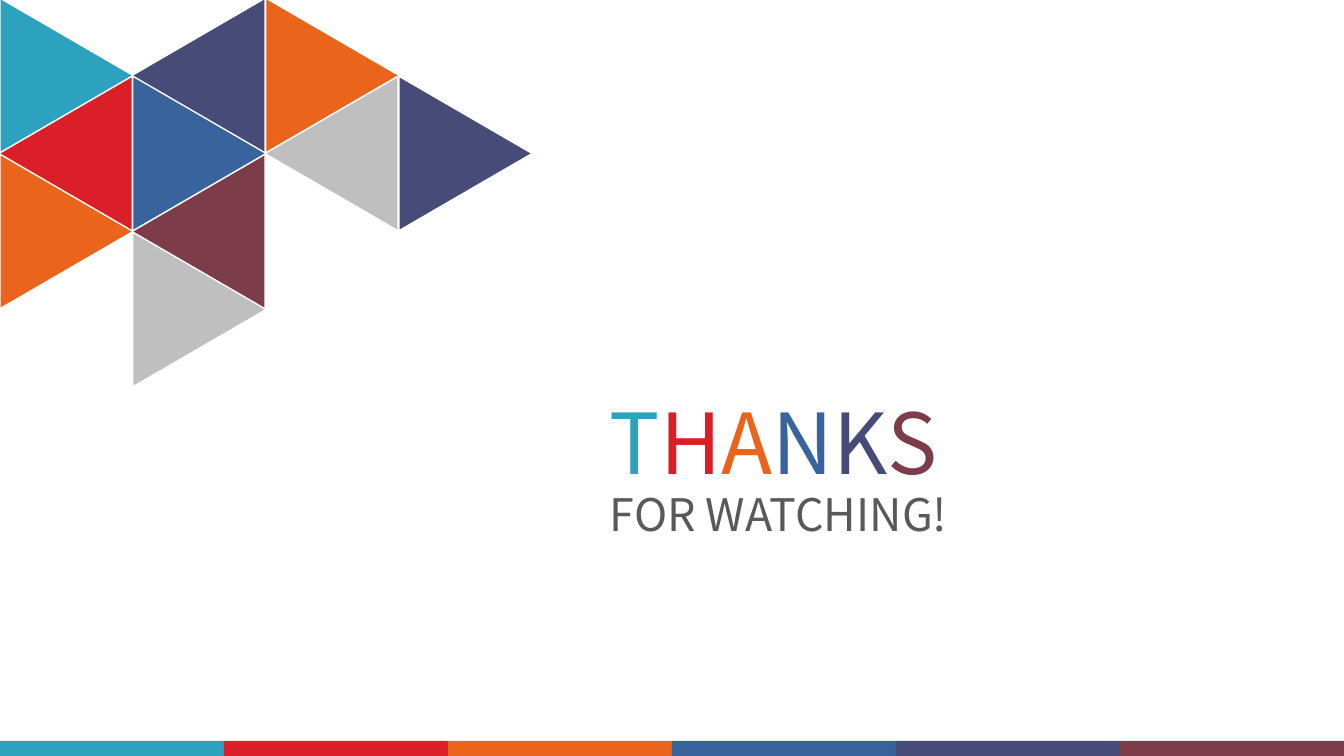
from dataclasses import dataclass

from pptx import Presentation
from pptx.dml.color import RGBColor
from pptx.enum.shapes import MSO_SHAPE
from pptx.enum.text import MSO_AUTO_SIZE
from pptx.util import Emu, Pt

TRIANGLE = MSO_SHAPE.ISOSCELES_TRIANGLE
RECT = MSO_SHAPE.RECTANGLE
NO_FIT = MSO_AUTO_SIZE.NONE
SCALE = 914400 / 100.8
WIDTH, HEIGHT = 1344, 756
RIGHT, LEFT = 90, 270


@dataclass(frozen=True)
class Theme:
    teal: str = "2DA2BF"
    red: str = "DA1F28"
    orange: str = "EB641B"
    blue: str = "39639D"
    navy: str = "474B78"
    wine: str = "7D3C4A"
    silver: str = "BFBFBF"
    gray: str = "595959"
    font: str = "Noto Sans CJK SC"
    title: int = 60
    sub: int = 32
    title_line: int = 77
    sub_line: int = 35

    def accents(self):
        return (self.teal, self.red, self.orange,
                self.blue, self.navy, self.wine)


THEME = Theme()

TILES = (
    (0, 0, RIGHT, THEME.teal),
    (0, 1, LEFT, THEME.red),
    (0, 2, RIGHT, THEME.orange),
    (1, 0, LEFT, THEME.navy),
    (1, 1, RIGHT, THEME.blue),
    (1, 2, LEFT, THEME.wine),
    (2, 0, RIGHT, THEME.orange),
    (1, 3, RIGHT, THEME.silver),
    (2, 1, LEFT, THEME.silver),
    (3, 1, RIGHT, THEME.navy),
)


def px(n):
    return Emu(round(n * SCALE))


def add_block(group, kind, box, color, turn=0):
    shape = group.shapes.add_shape(kind, *map(px, box))
    shape.rotation = turn
    shape.shadow.inherit = False
    shape.fill.solid()
    shape.fill.fore_color.rgb = RGBColor.from_string(color)
    shape.line.fill.background()


def add_tiles(slide):
    group = slide.shapes.add_group_shape()
    for col, row, turn, color in TILES:
        box = (-10 + 133 * col, 10 + 78 * row, 152, 131)
        add_block(group, TRIANGLE, box, color, turn)


def add_stripe(slide):
    group = slide.shapes.add_group_shape()
    colors = THEME.accents()
    step = WIDTH // len(colors)
    for i, color in enumerate(colors):
        add_block(group, RECT, (i * step, 741, step, 15), color)


def add_run(para, text, size, color):
    run = para.add_run()
    run.text = text
    run.font.name = THEME.font
    run.font.size = Pt(size)
    run.font.color.rgb = RGBColor.from_string(color)


def add_thanks(slide):
    frame = slide.shapes.add_textbox(*map(px, (600, 379, 578, 166))).text_frame
    frame.word_wrap = True
    frame.auto_size = NO_FIT
    title = frame.paragraphs[0]
    title.line_spacing = Pt(THEME.title_line)
    for char, color in zip("THANKS", THEME.accents()):
        add_run(title, char, THEME.title, color)
    sub = frame.add_paragraph()
    sub.line_spacing = Pt(THEME.sub_line)
    add_run(sub, "FOR WATCHING!", THEME.sub, THEME.gray)


def main():
    deck = Presentation()
    deck.slide_width, deck.slide_height = px(WIDTH), px(HEIGHT)
    slide = deck.slides.add_slide(deck.slide_layouts[6])
    add_tiles(slide)
    add_stripe(slide)
    add_thanks(slide)
    deck.save("out.pptx")


main()
